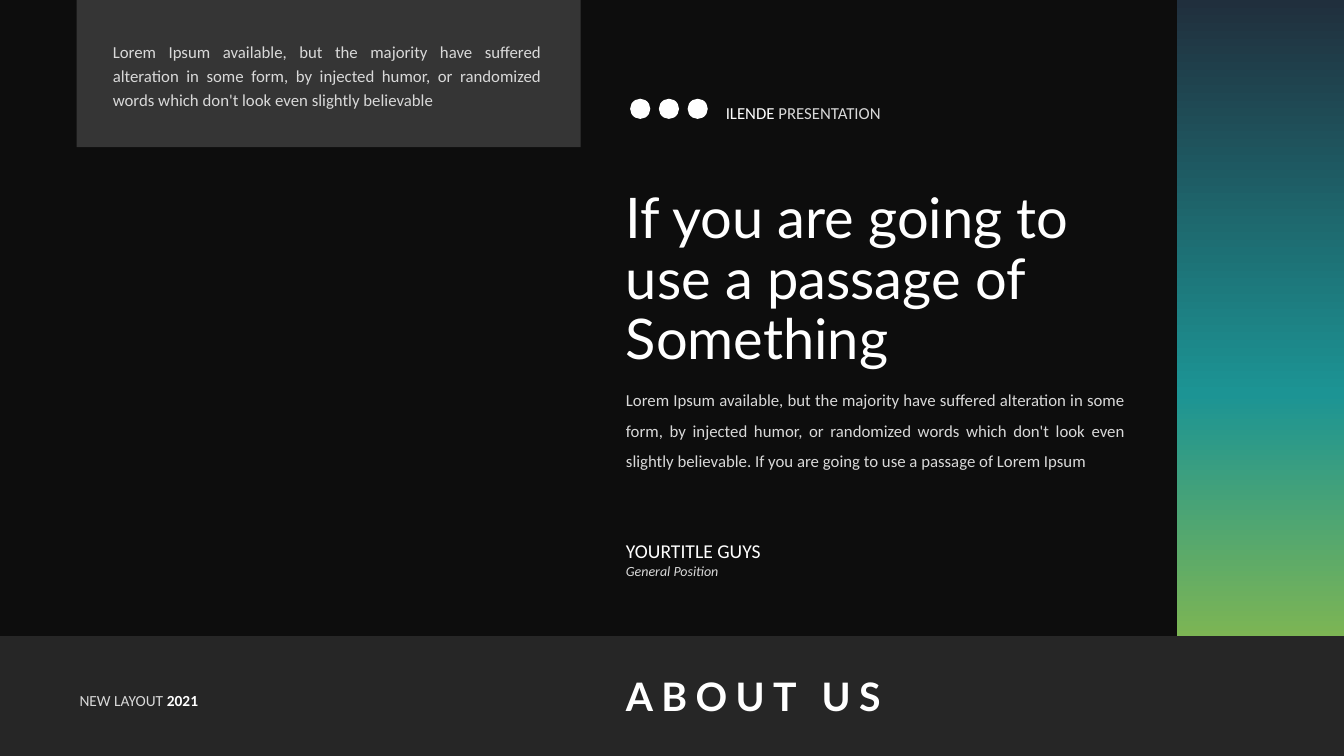
from copy import deepcopy

from pptx import Presentation
from pptx.dml.color import RGBColor
from pptx.enum.shapes import MSO_SHAPE as Preset
from pptx.enum.text import MSO_AUTO_SIZE as AutoSize, PP_ALIGN as Align
from pptx.oxml.ns import qn
from pptx.oxml.xmlchemy import OxmlElement
from pptx.util import Inches, Pt

WHITE, PALE = "FFFFFF", "D9D9D9"
BODY_FONT, TITLE_FONT = "Calibri", "Lato"


def color(hex_text):
    """Return the colour for a hex string."""
    return RGBColor.from_string(hex_text)


def add_block(slide, box, fill, preset=Preset.RECTANGLE, opacity=None):
    """Add a borderless shape with a solid fill."""
    shape = slide.shapes.add_shape(preset, *map(Inches, box))
    shape.shadow.inherit = False
    shape.line.fill.background()
    shape.fill.solid()
    shape.fill.fore_color.rgb = color(fill)
    if opacity is not None:
        alpha = OxmlElement("a:alpha")
        alpha.set("val", str(opacity * 1000))
        shape._element.spPr.find(f".//{qn('a:srgbClr')}").append(alpha)
    return shape


def add_text(slide, box, parts, size, font=BODY_FONT, spacing=1.0, justified=False):
    """Add a one-paragraph text box from (text, colour) parts and return its runs."""
    text_box = slide.shapes.add_textbox(*map(Inches, box))
    frame = text_box.text_frame
    frame.word_wrap = True
    frame.auto_size = AutoSize.SHAPE_TO_FIT_TEXT
    paragraph = frame.paragraphs[0]
    paragraph.line_spacing = spacing
    if justified:
        paragraph.alignment = Align.JUSTIFY
        frame.margin_right, frame.margin_bottom = Inches(0.16), Inches(0.04)
    for text, fill in parts:
        run = paragraph.add_run()
        run.text = text
        run.font.name = font
        run.font.size = Pt(size)
        run.font.color.rgb = color(fill)
    return paragraph.runs


def add_note_panel(slide, left, top, width, height):
    """Add the translucent panel with its short note."""
    add_block(slide, (left, top, width, height), PALE, opacity=20)
    note = ("Lorem Ipsum available, but the majority have suffered alteration in some form, "
            "by injected humor, or randomized words which don't look even slightly believable")
    add_text(slide, (left + 0.26, top + 0.32, width - 0.49, 0.82), [(note, PALE)],
             12, spacing=1.2, justified=True)


def add_brand_line(slide, left, top):
    """Add the row of round badges and the presentation name."""
    for index in range(3):
        add_block(slide, (left + 0.285 * index, top + 0.11, 0.2, 0.2), WHITE, Preset.OVAL)
    add_text(slide, (left + 0.85, top, 2.09, 0.39),
             [("ILENDE", WHITE), (" PRESENTATION", PALE)], 12, spacing=1.5, justified=True)


def add_story(slide, left, top, width):
    """Add the headline, the body text and the signature."""
    add_text(slide, (left, top, width, 1.92),
             [("If you are going to use a passage of Something", WHITE)],
             40, TITLE_FONT, spacing=0.9)
    body = ("Lorem Ipsum available, but the majority have suffered alteration in some form, "
            "by injected humor, or randomized words which don't look even slightly believable. "
            "If you are going to use a passage of Lorem Ipsum")
    add_text(slide, (left, top + 1.88, width, 0.97), [(body, PALE)],
             12, spacing=1.5, justified=True)
    add_text(slide, (left, top + 3.5, 2.98, 0.29), [("YOURTITLE GUYS", WHITE)], 14, spacing=0.8)
    position, = add_text(slide, (left, top + 3.72, 2.98, 0.24),
                         [("General Position", PALE)], 10, spacing=0.8)
    position.font.italic = True


def add_footer(slide, left, top, width, height):
    """Add the footer bar with the layout label and the section title."""
    add_block(slide, (left, top, width, height), "262626")
    _, year = add_text(slide, (left + 0.69, top + 0.41, 1.75, 0.37),
                       [("NEW LAYOUT ", PALE), ("2021", WHITE)], 11, spacing=1.5, justified=True)
    year.font.bold = True
    title, = add_text(slide, (left + 6.11, top + 0.31, 3.1, 0.57),
                      [("ABOUT US", WHITE)], 28, TITLE_FONT)
    title.font.bold = True
    title.font._element.set("spc", "600")


def add_gradient_band(slide, *box):
    """Add the vertical band that runs from navy through teal to green."""
    band = add_block(slide, box, WHITE)
    band.fill.gradient()
    band.fill.gradient_angle = 270
    stop_list = band._element.spPr.find(f".//{qn('a:gsLst')}")
    stop_list.append(deepcopy(stop_list[-1]))
    stops = ((0, "202F3D"), (0.62, "1C9494"), (1, "7CB554"))
    for stop, (position, fill) in zip(band.fill.gradient_stops, stops):
        stop.position = position
        stop.color.rgb = color(fill)


def main():
    """Build the slide and save it."""
    presentation = Presentation()
    presentation.slide_width, presentation.slide_height = Inches(13.33), Inches(7.5)
    slide = presentation.slides.add_slide(presentation.slide_layouts[6])
    slide.background.fill.solid()
    slide.background.fill.fore_color.rgb = color("0D0D0D")
    add_footer(slide, 0, 6.31, 13.33, 1.19)
    add_gradient_band(slide, 11.67, 0, 1.66, 6.31)
    add_note_panel(slide, 0.76, 0, 5, 1.46)
    add_brand_line(slide, 6.25, 0.87)
    add_story(slide, 6.11, 1.84, 5.21)
    presentation.save("out.pptx")


if __name__ == "__main__":
    main()
